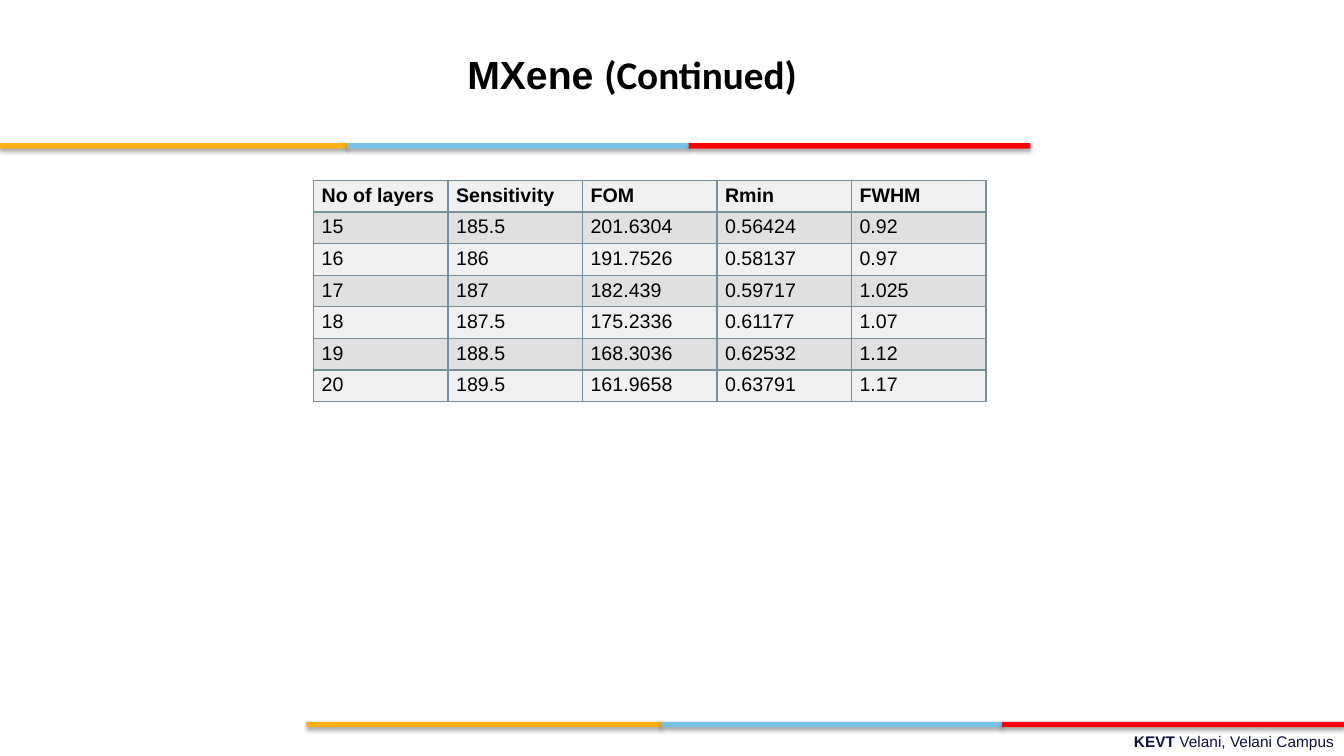
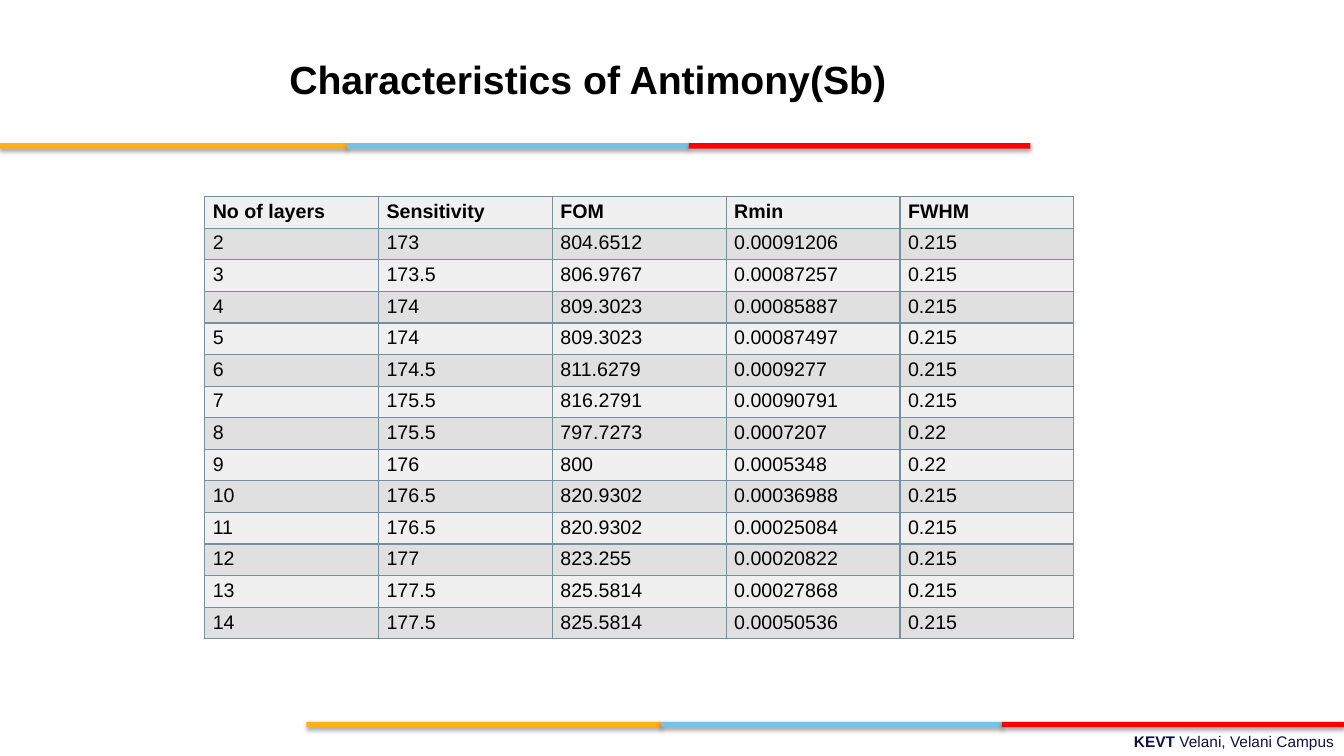
from lxml import etree
from pptx import Presentation, util as u
from pptx.dml.color import RGBColor
from pptx.enum import shapes, text
from pptx.oxml import parse_xml
from pptx.oxml.ns import nsdecls, qn

HUES = {
    "gold": "FCB017", "sky": "76C2E5", "red": "FF0000", "navy": "101141",
    "ink": "000000", "edge": "78909C", "light": "F0F0F0", "dark": "E0E0E0",
}
WIDE, HIGH = u.Inches(13.33), u.Inches(7.5)
HEAD = ["No of layers", "Sensitivity", "FOM", "Rmin", "FWHM"]
TOP = (0, 18.93, 76.67, 0.73)
BASE = (22.8, 95.47, 77.2, 0.73)
FOOT = (35.86, 96.13, 64.14, 3.73)

MXENE = [
    ("15", "185.5", "201.6304", "0.56424", "0.92"),
    ("16", "186", "191.7526", "0.58137", "0.97"),
    ("17", "187", "182.439", "0.59717", "1.025"),
    ("18", "187.5", "175.2336", "0.61177", "1.07"),
    ("19", "188.5", "168.3036", "0.62532", "1.12"),
    ("20", "189.5", "161.9658", "0.63791", "1.17"),
]
ANTIMONY = [
    ("2", "173", "804.6512", "0.00091206", "0.215"),
    ("3", "173.5", "806.9767", "0.00087257", "0.215"),
    ("4", "174", "809.3023", "0.00085887", "0.215"),
    ("5", "174", "809.3023", "0.00087497", "0.215"),
    ("6", "174.5", "811.6279", "0.0009277", "0.215"),
    ("7", "175.5", "816.2791", "0.00090791", "0.215"),
    ("8", "175.5", "797.7273", "0.0007207", "0.22"),
    ("9", "176", "800", "0.0005348", "0.22"),
    ("10", "176.5", "820.9302", "0.00036988", "0.215"),
    ("11", "176.5", "820.9302", "0.00025084", "0.215"),
    ("12", "177", "823.255", "0.00020822", "0.215"),
    ("13", "177.5", "825.5814", "0.00027868", "0.215"),
    ("14", "177.5", "825.5814", "0.00050536", "0.215"),
]


def hue(name):
    """Return a named colour."""
    return RGBColor.from_string(HUES[name])


def area(box):
    """Turn percentages of the slide into lengths."""
    return [round(part * side / 100) for part, side in zip(box, (WIDE, HIGH) * 2)]


def write(para, words, size, bold=False, tint="ink", face="Arial"):
    """Add one styled run to a paragraph."""
    run = para.add_run()
    run.text = words
    font = run.font
    font.size, font.bold, font.name = u.Pt(size), bold, face
    font.color.rgb = hue(tint)


def label(slide, box, pad, anchor):
    """Add a wrapped text box and return its paragraph."""
    frame = slide.shapes.add_textbox(*area(box)).text_frame
    frame.word_wrap = True
    frame.vertical_anchor = anchor
    frame.margin_left, frame.margin_right = [u.Inches(pad[0])] * 2
    frame.margin_top, frame.margin_bottom = [u.Inches(pad[1])] * 2
    return frame.paragraphs[0]


def shade(shape):
    """Give a shape a soft shadow below it."""
    shape.shadow.inherit = False
    glow = shape._element.spPr.find(qn("a:effectLst"))
    glow.append(parse_xml(
        f'<a:outerShdw {nsdecls("a")} blurRad="39370" dist="22860" dir="5400000" '
        f'rotWithShape="0"><a:srgbClr val="{HUES["ink"]}"><a:alpha val="35000"/>'
        '</a:srgbClr></a:outerShdw>'))


def band(slide, box, parts):
    """Fill a box with three coloured strips in the given proportions."""
    left, top, width, height = area(box)
    for part, tint in zip(parts, ("gold", "sky", "red")):
        span = round(width * part / sum(parts))
        strip = slide.shapes.add_shape(
            shapes.MSO_SHAPE.RECTANGLE, left, top, span, height)
        strip.fill.solid()
        strip.fill.fore_color.rgb = hue(tint)
        strip.line.fill.background()
        shade(strip)
        left += span


def title(slide, box, runs, pad, anchor, align):
    """Place the bold slide title."""
    para = label(slide, box, pad, anchor)
    para.alignment, para.line_spacing = align, 0.9
    for words, face in runs:
        write(para, words, 28, True, face=face)


def border(cell):
    """Draw a thin line on all sides of a cell."""
    props = cell._tc.get_or_add_tcPr()
    for spot, side in enumerate(("lnL", "lnR", "lnT", "lnB")):
        line = etree.Element(qn("a:" + side), w=str(u.Pt(1)))
        fill = etree.SubElement(line, qn("a:solidFill"))
        etree.SubElement(fill, qn("a:srgbClr"), val=HUES["edge"])
        props.insert(spot, line)


def grid(slide, box, data):
    """Place a table of results with striped rows."""
    rows = [HEAD] + data
    left, top, width, height = area(box)
    table = slide.shapes.add_table(
        len(rows), len(HEAD), left, top, width, height).table
    table.first_row = table.horz_banding = False
    for r, row in enumerate(rows):
        for c, words in enumerate(row):
            cell = table.cell(r, c)
            cell.margin_left = cell.margin_right = u.Inches(0.08)
            cell.margin_top = cell.margin_bottom = u.Inches(0.04)
            cell.fill.solid()
            cell.fill.fore_color.rgb = hue("dark" if r % 2 else "light")
            border(cell)
            write(cell.text_frame.paragraphs[0], words, 14, r == 0)


def page(deck):
    """Add a slide with the shared bands and footer."""
    slide = deck.slides.add_slide(deck.slide_layouts[6])
    para = label(slide, FOOT, (0.1, 0.05), text.MSO_ANCHOR.TOP)
    para.alignment = text.PP_ALIGN.RIGHT
    write(para, "KEVT ", 11, True, "navy")
    write(para, "Velani, Velani Campus", 11, False, "navy")
    band(slide, BASE, (3.52, 3.38, 3.39))
    band(slide, TOP, (3.44, 3.39, 3.39))
    return slide


def main():
    """Build and save the deck."""
    deck = Presentation()
    deck.slide_width, deck.slide_height = WIDE, HIGH

    slide = page(deck)
    grid(slide, (23.33, 23.87, 50.04, 28), MXENE)
    title(slide, (30, 6, 34.06, 8.4),
          [("MXene ", "Arial"), ("(Continued)", "Calibri")],
          (0.1, 0.1), text.MSO_ANCHOR.TOP, text.PP_ALIGN.CENTER)

    slide = page(deck)
    title(slide, (21, 3.6, 64.67, 14.53),
          [("Characteristics of Antimony(Sb)", "Arial")],
          (0.07, 0.04), text.MSO_ANCHOR.MIDDLE, text.PP_ALIGN.LEFT)
    grid(slide, (15.23, 26, 64.67, 56), ANTIMONY)

    deck.save("out.pptx")


if __name__ == "__main__":
    main()
